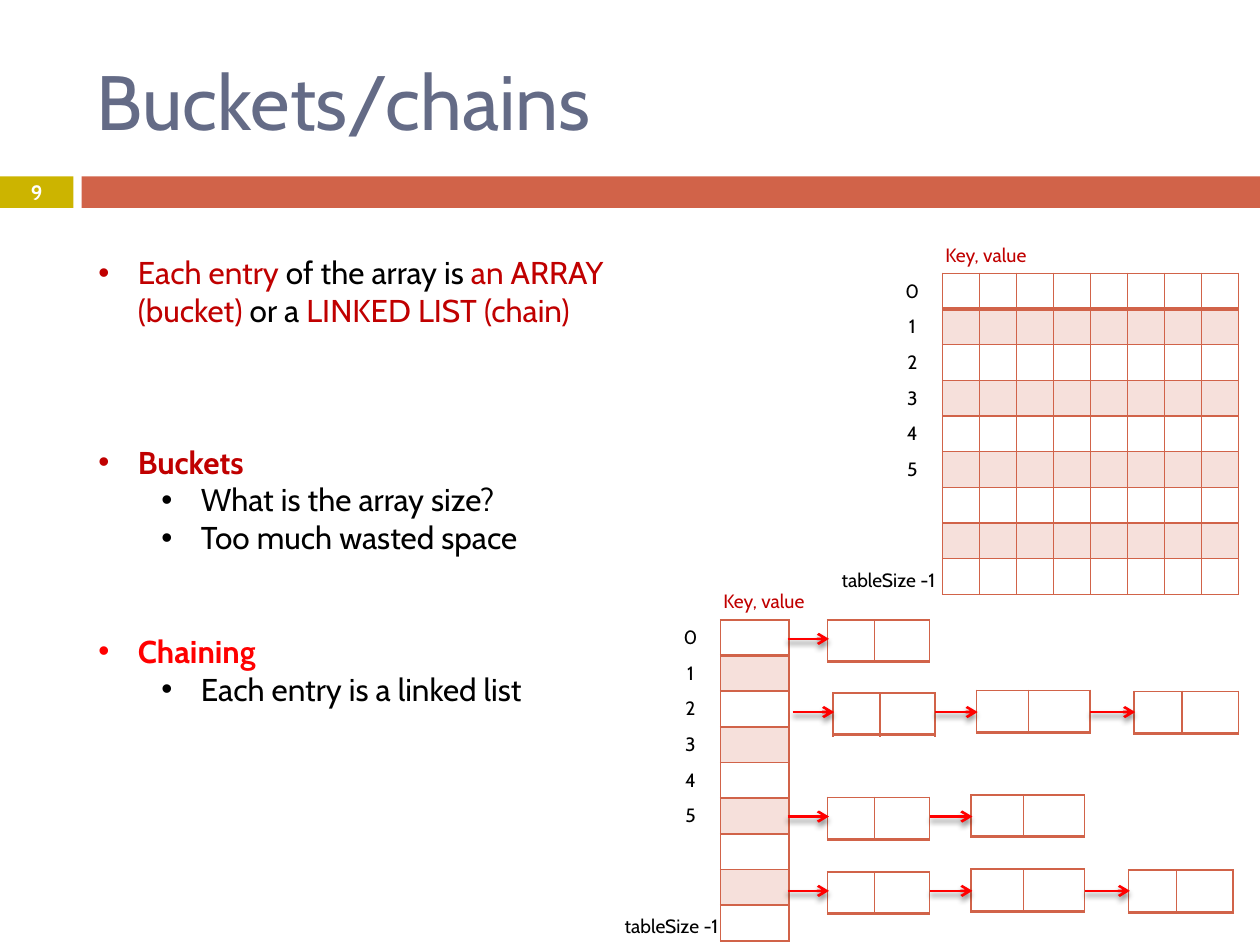
"""Build the slide that compares bucket arrays with chained lists."""
import pptx
import pptx.util
import pptx.dml.color
import pptx.enum.shapes
import pptx.enum.text
import pptx.oxml
import pptx.oxml.ns

Pt = pptx.util.Pt
ALIGN = pptx.enum.text.PP_ALIGN
MIDDLE = pptx.enum.text.MSO_ANCHOR.MIDDLE
NS = pptx.oxml.ns.nsdecls("a")
FONT = "Cabin"
NO_STYLE = "{2D5ABB26-0587-4C30-8999-92F81FD0307C}"
COLORS = {
    "title": "646B86", "gold": "CCB400", "rust": "D16349", "band": "F6E0DB",
    "dark_red": "C00000", "red": "FF0000", "black": "000000", "white": "FFFFFF",
}
ROWS, ROW_H = 9, 20.4
LABELS = ["0", "1", "2", "3", "4", "5", "", "", ""]
NODES = [(473, 0, 58.2), (555, -1.5, 64.8), (645, -1, 59.6)]
ARROW_STARTS = [450, 531.4, 620]
CHAINS = [(354.2, 0, 1), (396, 3, 3), (455.7, 0, 2), (498.2, 0, 3)]


def rgb(name):
    """Return the named colour."""
    return pptx.dml.color.RGBColor.from_string(COLORS[name])


def write(p, text, size=11, color="black", bold=False, align=ALIGN.LEFT):
    """Add a formatted run to a paragraph."""
    p.alignment = align
    r = p.add_run()
    r.text = text
    r.font.name, r.font.size, r.font.bold = FONT, Pt(size), bold
    r.font.color.rgb = rgb(color)


def add_bar(s, x, w, color):
    """Add a plain rectangle of the header band."""
    sp = s.shapes.add_shape(pptx.enum.shapes.MSO_SHAPE.RECTANGLE,
                            Pt(x), Pt(100.8), Pt(w), Pt(18))
    sp.shadow.inherit = False
    sp.fill.solid()
    sp.fill.fore_color.rgb = rgb(color)
    sp.line.fill.background()
    return sp


def add_label(s, text, x, y, w, wrap=True, **fmt):
    """Add a text box with one line."""
    tf = s.shapes.add_textbox(Pt(x), Pt(y), Pt(w), Pt(20.6)).text_frame
    tf.word_wrap = wrap
    write(tf.paragraphs[0], text, **fmt)


def add_bullet(tf, p, runs, level=0, gap=0):
    """Fill a bulleted paragraph with coloured runs."""
    p.level = level
    p.space_before = Pt(gap)
    pPr = p._p.get_or_add_pPr()
    pPr.set("marL", str(Pt(22.5 + 36 * level)))
    pPr.set("indent", str(Pt(-22.5)))
    for tag in ('buFont {} typeface="Arial"', 'buChar {} char="\u2022"'):
        pPr.append(pptx.oxml.parse_xml(f"<a:{tag.format(NS)}/>"))
    for text, color, bold in runs:
        write(p, text, size=18, color=color, bold=bold)


def set_borders(cell, widths):
    """Draw the cell edges given as a dict of side to width."""
    tcPr = cell._tc.get_or_add_tcPr()
    for i, side in enumerate(side for side in "LRTB" if side in widths):
        tcPr.insert(i, pptx.oxml.parse_xml(
            f'<a:ln{side} {NS} w="{Pt(widths[side])}"><a:solidFill>'
            f'<a:srgbClr val="{COLORS["rust"]}"/></a:solidFill></a:ln{side}>'))


def add_table(s, x, y, widths, heights, borders=None, banded=False, labels=None):
    """Add a table with optional edges, banded rows and row labels."""
    tbl = s.shapes.add_table(len(heights), len(widths), Pt(x), Pt(y),
                             Pt(sum(widths)), Pt(sum(heights))).table
    tbl.first_row = tbl.horz_banding = False
    tbl._tbl.tblPr.find(pptx.oxml.ns.qn("a:tableStyleId")).text = NO_STYLE
    for col, w in zip(tbl.columns, widths):
        col.width = Pt(w)
    for i, row in enumerate(tbl.rows):
        row.height = Pt(heights[i])
        for cell in row.cells:
            cell.margin_left = cell.margin_right = 0
            cell.margin_top = cell.margin_bottom = 0
            cell.vertical_anchor = MIDDLE
            if banded and i % 2:
                cell.fill.solid()
                cell.fill.fore_color.rgb = rgb("band")
            else:
                cell.fill.background()
            if borders:
                set_borders(cell, borders(i))
            p = cell.text_frame.paragraphs[0]
            if labels and labels[i]:
                write(p, labels[i], align=ALIGN.CENTER)
            else:
                p._p.get_or_add_endParaRPr().set("sz", "1000")


def add_arrow(s, x1, x2, y):
    """Add a horizontal red arrow with a soft shadow."""
    c = s.shapes.add_connector(pptx.enum.shapes.MSO_CONNECTOR.STRAIGHT,
                               Pt(x1), Pt(y), Pt(x2), Pt(y))
    c.line.color.rgb = rgb("red")
    c.line.width = Pt(1.5)
    c.line._get_or_add_ln().append(
        pptx.oxml.parse_xml(f'<a:tailEnd {NS} type="arrow"/>'))
    c._element.spPr.append(pptx.oxml.parse_xml(
        f'<a:effectLst {NS}><a:outerShdw blurRad="{Pt(3)}" dist="{Pt(2.4)}" '
        f'dir="5400000" rotWithShape="0"><a:srgbClr val="{COLORS["black"]}">'
        '<a:alpha val="45000"/></a:srgbClr></a:outerShdw></a:effectLst>'))


def add_hash_table(s, x, y, widths):
    """Add a banded table with its row indexes and captions."""
    def edges(i):
        """Give the edges of row i, with a thick line under the first."""
        return {"L": 1, "R": 1, "T": 2 if i == 1 else 1, "B": 2 if i == 0 else 1}

    heights = [ROW_H] * ROWS
    add_table(s, x, y, widths, heights, borders=edges, banded=True)
    add_table(s, x - 29.5, y, [24.5], heights, labels=LABELS)
    add_label(s, "Key, value", x - 5.5, y - 20.8, 89.3, color="dark_red")
    return x, y


def add_chain(s, top, dx, count):
    """Add linked nodes, each with an arrow leading to it."""
    for (x, dy, w), start in zip(NODES[:count], ARROW_STARTS):
        add_table(s, x + dx, top + dy, [w * 0.46, w * 0.54], [24],
                  borders=lambda i: {"L": 1, "R": 1, "T": 1, "B": 2})
    for (x, dy, w), start in zip(NODES[:count], ARROW_STARTS):
        add_arrow(s, start + dx, x + dx + 0.7, top + 10.9)


def place(sp, x, y, w, h):
    """Move and size a shape."""
    sp.left, sp.top, sp.width, sp.height = Pt(x), Pt(y), Pt(w), Pt(h)


def main():
    """Build and save the slide."""
    prs = pptx.Presentation()
    prs.slide_width, prs.slide_height = Pt(720), Pt(540)
    s = prs.slides.add_slide(prs.slide_layouts[1])

    add_bar(s, 46.6, 673.4, "rust")
    tf = add_bar(s, 0, 42, "gold").text_frame
    tf.vertical_anchor = MIDDLE
    write(tf.paragraphs[0], "9", size=11.9, color="white", bold=True,
          align=ALIGN.CENTER)

    title, body = s.placeholders
    place(title, 48.2, 18, 642, 78)
    title.text_frame.vertical_anchor = MIDDLE
    write(title.text_frame.paragraphs[0], "Buckets/chains", size=44, color="title")

    place(body, 49, 141.1, 336, 269.3)
    bullets = [
        ([("Each entry ", "dark_red", False), ("of the array is ", "black", False),
          ("an ARRAY (bucket) ", "dark_red", False), ("or a ", "black", False),
          ("LINKED LIST (chain)", "dark_red", False)], 0, 0),
        ([("Buckets", "dark_red", True)], 0, 65),
        ([("What is the array size?", "black", False)], 1, 0),
        ([("Too much wasted space", "black", False)], 1, 0),
        ([("Chaining", "red", True)], 0, 43.3),
        ([("Each entry is a linked list", "black", False)], 1, 0),
    ]
    tf = body.text_frame
    for i, (runs, level, gap) in enumerate(bullets):
        p = tf.add_paragraph() if i else tf.paragraphs[0]
        add_bullet(tf, p, runs, level, gap)

    add_hash_table(s, 538.6, 156.2, [21.15] * 8)
    add_label(s, "tableSize -1", 473.8, 321.1, 69, wrap=False)
    add_hash_table(s, 411.8, 354.2, [39])
    add_label(s, "tableSize -1", 349.9, 519.1, 69, wrap=False)
    for chain in CHAINS:
        add_chain(s, *chain)
    prs.save("out.pptx")


main()
